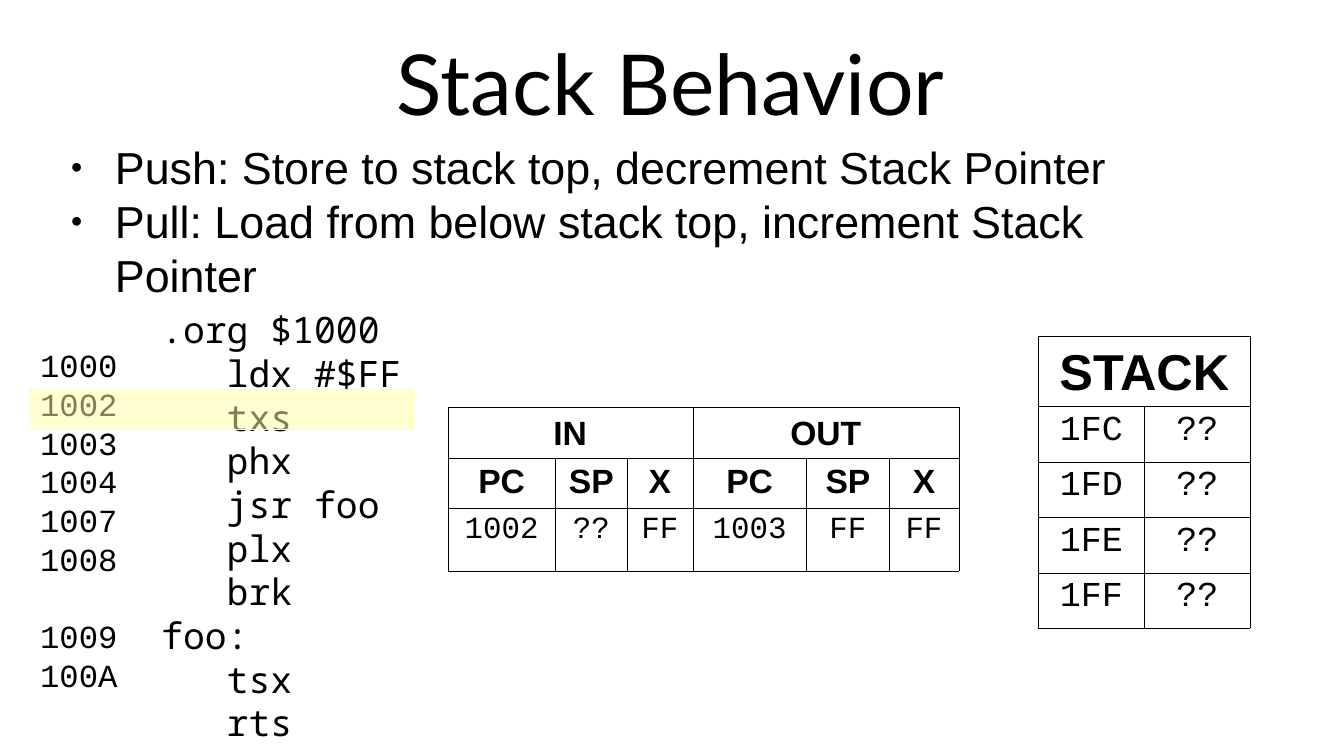
from dataclasses import dataclass
from typing import Any

import pptx
import pptx.dml.color
import pptx.enum.shapes
import pptx.enum.text
import pptx.oxml.ns
import pptx.oxml.xmlchemy
import pptx.util
from lxml import etree
from pptx.util import Inches, Pt

BLACK = pptx.dml.color.RGBColor(0, 0, 0)
WHITE = pptx.dml.color.RGBColor(255, 255, 255)
HIGHLIGHT = pptx.dml.color.RGBColor(0xFF, 0xFF, 0xA6)
ALIGN = pptx.enum.text.PP_ALIGN
ANCHOR = pptx.enum.text.MSO_ANCHOR
LINE_RATIO = 1.2

CODE = [".org $1000", "   ldx #$FF", "   txs", "   phx", "   jsr foo",
        "   plx", "   brk", "foo:", "   tsx", "   rts"]
MAIN_ADDRESSES = ["1000", "1002", "1003", "1004", "1007", "1008"]
FOO_ADDRESSES = ["1009", "100A"]


@dataclass
class Box:
    left: float
    top: float
    width: float
    height: float

    def lengths(self) -> list[int]:
        return [Inches(n) for n in (self.left, self.top, self.width, self.height)]


@dataclass
class Grid:
    box: Box
    columns: list[float]
    rows: list[float]
    cells: list[list[str]]  # an empty string continues the cell on its left
    header_rows: int
    header_size: float
    value_size: float


def add_element(parent: Any, tag: str, **attributes: str) -> Any:
    element = etree.SubElement(parent, pptx.oxml.ns.qn(tag))
    for name, value in attributes.items():
        element.set(name, value)
    return element


def add_bullet(paragraph: Any) -> None:
    properties = paragraph._p.get_or_add_pPr()
    properties.set("marL", str(Inches(0.44)))
    properties.set("indent", str(-Inches(0.44)))
    color = add_element(properties, "a:buClr")
    add_element(color, "a:srgbClr", val=str(BLACK))
    add_element(properties, "a:buSzPct", val="45000")
    add_element(properties, "a:buChar", char="●")


def write_text(frame: Any, lines: list[str], *, font: str, size: float,
               bold: bool = False, align: Any = ALIGN.LEFT, spacing: Any = None,
               bullet: bool = False, wrap: bool = True) -> None:
    frame.word_wrap = wrap
    for index, line in enumerate(lines):
        paragraph = frame.paragraphs[0] if index == 0 else frame.add_paragraph()
        paragraph.alignment = align
        paragraph.space_before = Pt(0)
        if spacing is not None:
            paragraph.line_spacing = spacing
        if bullet:
            add_bullet(paragraph)
        run = paragraph.add_run()
        run.text = line
        run.font.name = font
        run.font.size = Pt(size)
        run.font.bold = bold
        run.font.color.rgb = BLACK


def place(shape: Any, box: Box) -> None:
    shape.left, shape.top, shape.width, shape.height = box.lengths()


def add_borders(cell: Any) -> None:
    properties = cell._tc.get_or_add_tcPr()
    for position, tag in enumerate(("a:lnL", "a:lnR", "a:lnT", "a:lnB")):
        line = pptx.oxml.xmlchemy.OxmlElement(tag)
        line.set("w", str(Pt(0.06)))
        fill = add_element(line, "a:solidFill")
        add_element(fill, "a:srgbClr", val=str(BLACK))
        properties.insert(position, line)


def add_grid(slide: Any, grid: Grid) -> None:
    table = slide.shapes.add_table(len(grid.rows), len(grid.columns),
                                   *grid.box.lengths()).table
    for column, width in zip(table.columns, grid.columns):
        column.width = Inches(width)
    for row, height in zip(table.rows, grid.rows):
        row.height = Inches(height)
    for row_index, texts in enumerate(grid.cells):
        header = row_index < grid.header_rows
        start = 0
        for column_index, text in enumerate(texts):
            cell = table.cell(row_index, column_index)
            cell.fill.solid()
            cell.fill.fore_color.rgb = WHITE
            add_borders(cell)
            if text:
                start = column_index
                cell.vertical_anchor = ANCHOR.BOTTOM if row_index == 0 else ANCHOR.TOP
                write_text(cell.text_frame, [text], bold=header, align=ALIGN.CENTER,
                           font="Arial" if header else "Courier New",
                           size=grid.header_size if header else grid.value_size)
            elif column_index + 1 == len(texts) or texts[column_index + 1]:
                table.cell(row_index, start).merge(cell)


def add_listing(slide: Any, box: Box, lines: list[str], font: str, size: float,
                wrap: bool) -> Any:
    frame = slide.shapes.add_textbox(*box.lengths()).text_frame
    write_text(frame, lines, font=font, size=size, wrap=wrap,
               spacing=Pt(size * LINE_RATIO))
    return frame


def main() -> None:
    presentation = pptx.Presentation()
    presentation.slide_width = Inches(13.33)
    presentation.slide_height = Inches(7.5)
    slide = presentation.slides.add_slide(presentation.slide_layouts[1])

    # Title and rules of the stack
    title, body = slide.placeholders
    place(title, Box(0.2, 0.15, 12.9, 1.45))
    title.text_frame.vertical_anchor = ANCHOR.MIDDLE
    write_text(title.text_frame, ["Stack Behavior"], font="Lato", size=60,
               align=ALIGN.CENTER, spacing=0.9)
    place(body, Box(0.6, 1.34, 11.79, 1.1))
    body.text_frame.auto_size = pptx.enum.text.MSO_AUTO_SIZE.NONE
    write_text(body.text_frame,
               ["Push: Store to stack top, decrement Stack Pointer",
                "Pull: Load from below stack top, increment Stack Pointer"],
               font="Arial", size=32, bullet=True, wrap=False,
               spacing=Pt(32 * LINE_RATIO))

    # Program and its addresses
    add_listing(slide, Box(1.5, 3, 3.71, 4.3), CODE, "Noto Sans Mono", 26, False)
    addresses = add_listing(slide, Box(0.3, 3.38, 1.2, 3.8),
                            MAIN_ADDRESSES + FOO_ADDRESSES, "Courier New", 23, True)
    first_of_foo = addresses.paragraphs[len(MAIN_ADDRESSES)]
    first_of_foo.space_before = Pt(23 * LINE_RATIO)

    # Registers and stack
    add_grid(slide, Grid(
        Box(4.44, 4.04, 5.07, 1.57), [1.07, 0.71, 0.65, 1.13, 0.82, 0.69],
        [0.47, 0.47, 0.62],
        [["IN", "", "", "OUT", "", ""], ["PC", "SP", "X"] * 2,
         ["1002", "??", "FF", "1003", "FF", "FF"]], 2, 24, 22))
    add_grid(slide, Grid(
        Box(10.3, 3.33, 2.1, 2.88), [1.05] * 2, [0.66] + [0.55] * 4,
        [["STACK", ""]] + [[address, "??"] for address in ("1FC", "1FD", "1FE", "1FF")],
        1, 36, 25))

    # Current instruction
    marker = slide.shapes.add_shape(pptx.enum.shapes.MSO_SHAPE.RECTANGLE,
                                    *Box(0.29, 3.86, 3.8, 0.4).lengths())
    marker.shadow.inherit = False
    marker.fill.solid()
    marker.fill.fore_color.rgb = HIGHLIGHT
    fill_color = marker._element.spPr.find(".//" + pptx.oxml.ns.qn("a:srgbClr"))
    add_element(fill_color, "a:alpha", val="50000")
    marker.line.color.rgb = HIGHLIGHT
    marker.line.width = Pt(0)

    presentation.save("out.pptx")


if __name__ == "__main__":
    main()
